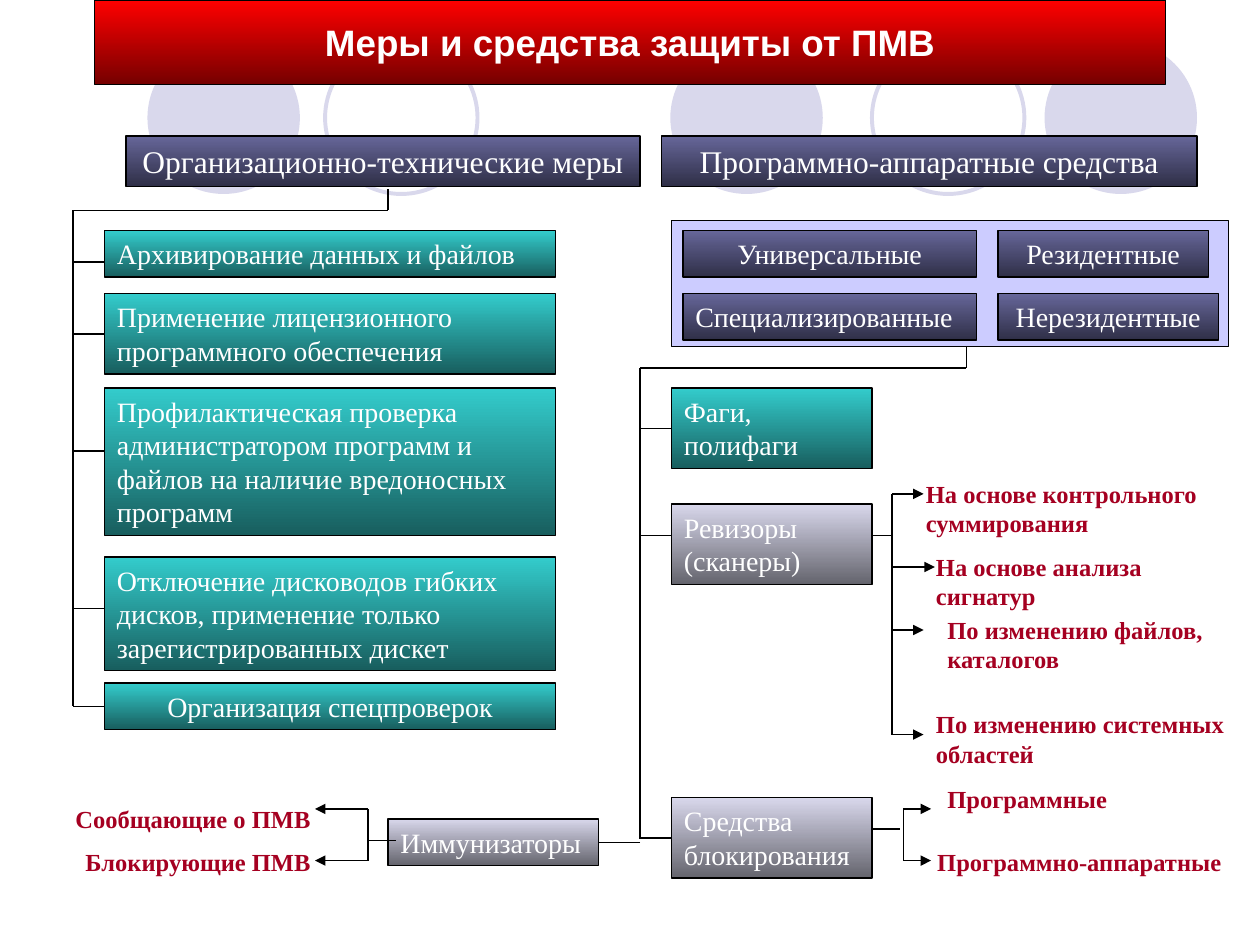
from lxml.etree import SubElement
from pptx import Presentation
from pptx.dml.color import RGBColor
from pptx.enum.shapes import MSO_CONNECTOR, MSO_SHAPE
from pptx.enum.text import MSO_ANCHOR, MSO_AUTO_SIZE, PP_ALIGN
from pptx.oxml.ns import qn
from pptx.util import Inches, Pt

BLACK = RGBColor(0x00, 0x00, 0x00)
WHITE = RGBColor(0xFF, 0xFF, 0xFF)
LILAC = RGBColor(0xD9, 0xD8, 0xEC)
PANEL = RGBColor(0xCC, 0xCC, 0xFF)
WINE = RGBColor(0xA5, 0x00, 0x21)
RED = (RGBColor(0xFF, 0x00, 0x00), RGBColor(0x76, 0x00, 0x00))
VIOLET = (RGBColor(0x66, 0x66, 0x99), RGBColor(0x2F, 0x2F, 0x47))
TEAL = (RGBColor(0x33, 0xCC, 0xCC), RGBColor(0x18, 0x5E, 0x5E))
GRAY = (LILAC, RGBColor(0x64, 0x64, 0x6D))
SERIF = "Times New Roman"
LEFT, CENTER = PP_ALIGN.LEFT, PP_ALIGN.CENTER


def add_shape(slide, kind, x, y, w, h):
    shape = slide.shapes.add_shape(kind, Inches(x), Inches(y), Inches(w), Inches(h))
    shape.shadow.inherit = False
    return shape


def set_text(shape, text, size, color, align=LEFT, font=SERIF, bold=False):
    frame = shape.text_frame
    frame.word_wrap = True
    frame.vertical_anchor = MSO_ANCHOR.TOP
    frame.text = text
    para = frame.paragraphs[0]
    para.alignment = align
    face = para.runs[0].font
    face.name, face.size, face.bold = font, Pt(size), bold
    face.color.rgb = color


def add_box(slide, x, y, w, h, text, shades, align=LEFT, size=16, **style):
    """Bordered rectangle shaded from top to bottom."""
    box = add_shape(slide, MSO_SHAPE.RECTANGLE, x, y, w, h)
    box.fill.gradient()
    box.fill.gradient_angle = 270
    for stop, place, shade in zip(box.fill.gradient_stops, (0, 1), shades):
        stop.position = place
        stop.color.rgb = shade
    box.line.color.rgb = BLACK
    box.line.width = Pt(0.75)
    set_text(box, text, size, WHITE, align, **style)
    return box


def add_label(slide, x, y, w, h, text):
    label = slide.shapes.add_textbox(Inches(x), Inches(y), Inches(w), Inches(h))
    set_text(label, text, 14, WINE, bold=True)
    label.text_frame.auto_size = MSO_AUTO_SIZE.SHAPE_TO_FIT_TEXT


def add_line(slide, x1, y1, x2, y2, arrow=False):
    line = slide.shapes.add_connector(
        MSO_CONNECTOR.STRAIGHT, Inches(x1), Inches(y1), Inches(x2), Inches(y2))
    line.line.color.rgb = BLACK
    line.line.width = Pt(0.75)
    if arrow:
        SubElement(line.line._get_or_add_ln(), qn("a:tailEnd"), type="triangle")
    SubElement(line._element.spPr, qn("a:effectLst"))
    return line


def add_branch(slide, rail, y, box, side=1):
    """Line from a rail to a box, joined to the side's middle when it is near."""
    edge = box.left if side == 1 else box.left + box.width
    middle = (box.top + box.height / 2) / Inches(1)
    near = abs(middle - y) < 0.03
    y = middle if near else y
    line = add_line(slide, rail, y, edge / Inches(1), y)
    if near:
        line.end_connect(box, side)


def add_fork(slide, x, ends):
    """Upright line with an arrow to each (x, y) end."""
    add_line(slide, x, ends[0][1], x, ends[-1][1])
    for tip, y in ends:
        add_line(slide, x, y, tip, y, arrow=True)


def add_backdrop(slide, y, size):
    for x, solid in ((5.32, True), (8.29, True), (1.17, True), (6.92, False), (2.58, False)):
        disc = add_shape(slide, MSO_SHAPE.OVAL, x, y, size, size)
        if solid:
            disc.fill.solid()
            disc.fill.fore_color.rgb = LILAC
            disc.line.fill.background()
        else:
            disc.fill.background()
            disc.line.color.rgb = LILAC
            disc.line.width = Pt(2.25)


def add_title(slide, x, y, w, h):
    box = add_box(slide, x, y, w, h, "Меры и средства защиты от ПМВ", RED,
                  CENTER, 21, font="Arial", bold=True)
    box.text_frame.vertical_anchor = MSO_ANCHOR.MIDDLE


def add_measures(slide, x, y, w):
    """Organisational measures hanging on a rail at x."""
    add_box(slide, x + 0.42, y, 4.08, 0.4, "Организационно-технические меры",
            VIOLET, CENTER, 18)
    rows = (
        (0.75, 0.37, 1.0, "Архивирование данных и файлов", LEFT),
        (1.25, 0.64, 1.59, "Применение лицензионного программного обеспечения", LEFT),
        (2.0, 1.17, 2.5, "Профилактическая проверка администратором программ и "
         "файлов на наличие вредоносных программ", LEFT),
        (3.34, 0.9, 3.75, "Отключение дисководов гибких дисков, применение только "
         "зарегистрированных дискет", LEFT),
        (4.34, 0.37, 4.5, "Организация спецпроверок", CENTER),
    )
    for top, high, tick, text, align in rows:
        box = add_box(slide, x + 0.25, y + top, w - 0.25, high, text, TEAL, align)
        add_branch(slide, x, y + tick, box)
    add_line(slide, x + 2.5, y + 0.42, x + 2.5, y + 0.59)
    add_line(slide, x, y + 0.59, x + 2.5, y + 0.59)
    add_line(slide, x, y + 0.59, x, y + 4.52)


def add_kinds(slide, x, y, w, h):
    """Panel with the four kinds of tools."""
    panel = add_shape(slide, MSO_SHAPE.RECTANGLE, x, y, w, h)
    panel.fill.solid()
    panel.fill.fore_color.rgb = PANEL
    panel.line.color.rgb = BLACK
    panel.line.width = Pt(0.75)
    cells = (
        (0.09, 0.08, 2.33, "Универсальные", CENTER),
        (0.09, 0.58, 2.33, "Специализированные", LEFT),
        (2.59, 0.08, 1.67, "Резидентные", CENTER),
        (2.59, 0.58, 1.75, "Нерезидентные", CENTER),
    )
    for dx, dy, wide, text, align in cells:
        add_box(slide, x + dx, y + dy, wide, 0.37, text, VIOLET, align)


def add_tools(slide, x, y):
    """Tools hanging on a rail at x, with their varieties."""
    add_line(slide, x, y, x + 2.59, y)
    add_line(slide, x + 2.59, y, x + 2.59, y - 0.17)
    add_line(slide, x, y, x, y + 3.74)
    rows = (
        (0.16, 0.5, "Фаги, полифаги", TEAL),
        (1.08, 1.33, "Ревизоры (сканеры)", GRAY),
        (3.41, 3.73, "Средства блокирования", GRAY),
    )
    for top, tick, text, shades in rows:
        box = add_box(slide, x + 0.25, y + top, 1.59, 0.64, text, shades)
        add_branch(slide, x, y + tick, box)
    vaccine = add_box(slide, x - 2, y + 3.58, 1.67, 0.37, "Иммунизаторы", GRAY)
    add_branch(slide, x, y + 3.75, vaccine, side=3)

    add_line(slide, x + 1.84, y + 1.33, x + 2, y + 1.33)
    add_fork(slide, x + 2, [(x + 2.25, y + 1), (x + 2.34, y + 1.58),
                            (x + 2.25, y + 2.08), (x + 2.25, y + 2.91)])
    add_line(slide, x + 1.84, y + 3.66, x + 2.06, y + 3.66)
    add_fork(slide, x + 2.09, [(x + 2.31, y + 3.5), (x + 2.31, y + 3.91)])
    add_line(slide, x - 2.16, y + 3.75, x - 1.94, y + 3.75)
    add_fork(slide, x - 2.16, [(x - 2.58, y + 3.5), (x - 2.58, y + 3.91)])

    labels = (
        (2.17, 0.83, 2.75, 0.57, "На основе контрольного суммирования"),
        (2.25, 1.41, 2.5, 0.57, "На основе анализа сигнатур"),
        (2.34, 1.91, 2.58, 0.57, "По изменению файлов, каталогов"),
        (2.25, 2.66, 2.67, 0.57, "По изменению системных областей"),
        (2.34, 3.25, 2.12, 0.34, "Программные"),
        (2.26, 3.75, 2.66, 0.34, "Программно-аппаратные"),
        (-4.58, 3.41, 2.57, 0.34, "Сообщающие о ПМВ"),
        (-4.5, 3.75, 2.49, 0.34, "Блокирующие ПМВ"),
    )
    for dx, dy, wide, high, text in labels:
        add_label(slide, x + dx, y + dy, wide, high, text)


def main():
    deck = Presentation()
    deck.slide_width, deck.slide_height = Inches(10), Inches(7.5)
    slide = deck.slides.add_slide(deck.slide_layouts[6])
    add_backdrop(slide, 0.33, 1.21)
    add_title(slide, 0.75, 0, 8.5, 0.67)
    add_measures(slide, 0.58, 1.08, 3.83)
    add_box(slide, 5.25, 1.08, 4.25, 0.4, "Программно-аппаратные средства",
            VIOLET, CENTER, 18)
    add_kinds(slide, 5.33, 1.75, 4.42, 1)
    add_tools(slide, 5.08, 2.92)
    deck.save("out.pptx")


if __name__ == "__main__":
    main()
